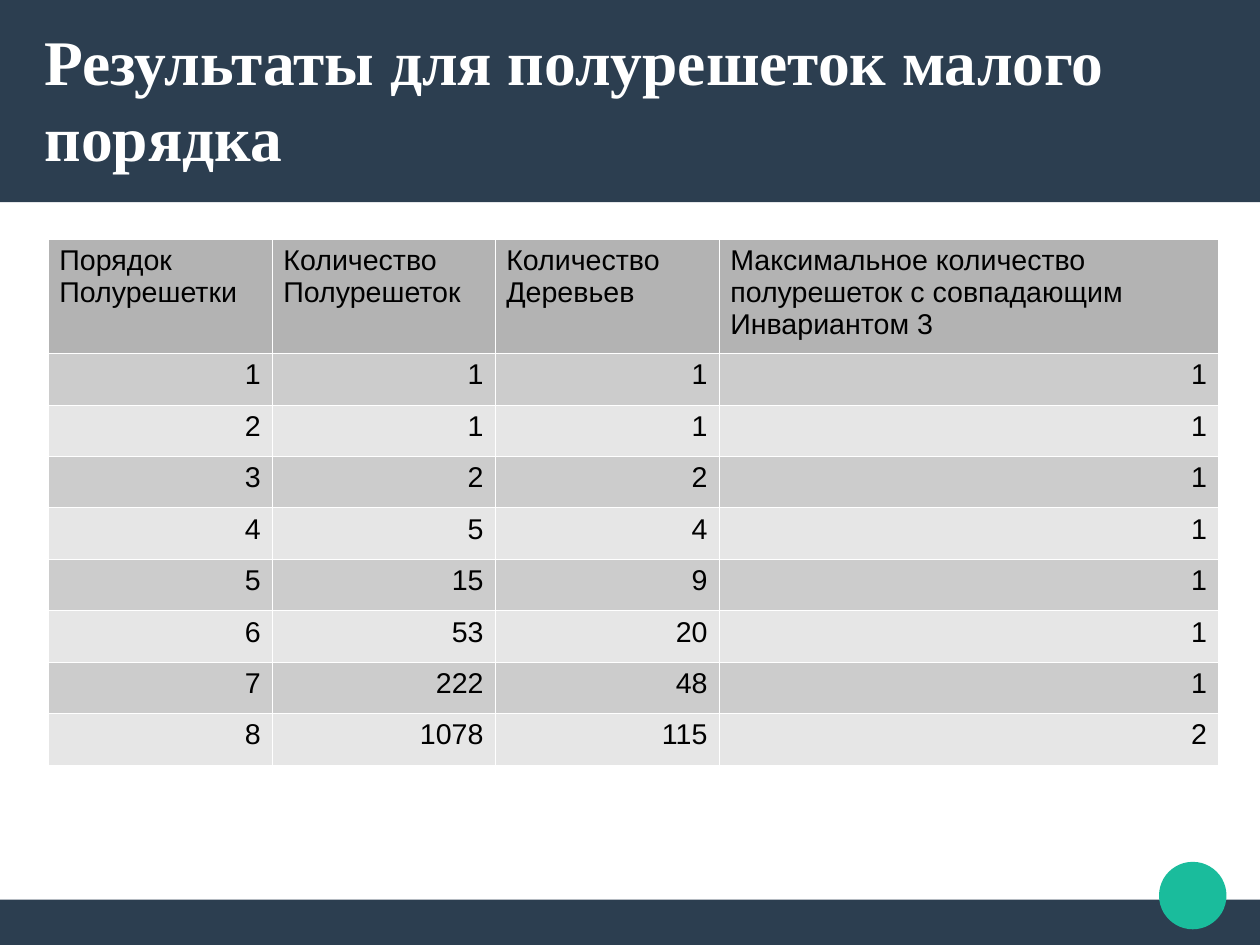
from dataclasses import dataclass

from lxml.etree import SubElement
from pptx import Presentation
from pptx.dml.color import RGBColor
from pptx.enum.shapes import MSO_SHAPE
from pptx.enum.text import MSO_ANCHOR, PP_ALIGN
from pptx.oxml.ns import qn
from pptx.slide import Slide
from pptx.table import _Cell
from pptx.text.text import _Paragraph
from pptx.util import Inches, Pt

NAVY = RGBColor(0x2C, 0x3E, 0x50)
GREEN = RGBColor(0x1A, 0xBC, 0x9C)
WHITE = RGBColor(0xFF, 0xFF, 0xFF)
BLACK = RGBColor(0, 0, 0)
HEAD = RGBColor(0xB3, 0xB3, 0xB3)
BANDS = (RGBColor(0xCC, 0xCC, 0xCC), RGBColor(0xE6, 0xE6, 0xE6))

# The page is 28 by 21 cm
WIDE, HIGH = 28 / 2.54, 21 / 2.54


@dataclass
class Block:
    kind: MSO_SHAPE
    left: float
    top: float
    width: float
    height: float
    color: RGBColor


@dataclass
class Column:
    title: str
    width: float
    values: tuple[int, ...]


BLOCKS = (
    Block(MSO_SHAPE.RECTANGLE, 0, 7.87, WIDE, HIGH - 7.87, NAVY),
    Block(MSO_SHAPE.RECTANGLE, 0, 0, WIDE, 1.77, NAVY),
    Block(MSO_SHAPE.OVAL, 10.14, 7.54, 0.59, 0.59, GREEN),
)
COLUMNS = (
    Column("Порядок\nПолурешетки", 1.96, (1, 2, 3, 4, 5, 6, 7, 8)),
    Column("Количество\nПолурешеток", 1.95, (1, 1, 2, 5, 15, 53, 222, 1078)),
    Column("Количество\nДеревьев", 1.96, (1, 1, 2, 4, 9, 20, 48, 115)),
    Column("Максимальное количество\nполурешеток с совпадающим \nИнвариантом 3",
           4.37, (1, 1, 1, 1, 1, 1, 1, 2)),
)


def write(para: _Paragraph, text: str, face: str, size: int, color: RGBColor) -> None:
    para.text = text
    para.font.name = face
    para.font.size = Pt(size)
    para.font.color.rgb = color


def draw_block(slide: Slide, block: Block) -> None:
    shape = slide.shapes.add_shape(
        block.kind, Inches(block.left), Inches(block.top),
        Inches(block.width), Inches(block.height))
    shape.shadow.inherit = False
    shape.fill.solid()
    shape.fill.fore_color.rgb = block.color
    shape.line.fill.background()


def draw_title(slide: Slide, text: str) -> None:
    box = slide.shapes.add_textbox(Inches(0.39), Inches(0.33), Inches(10.24), Inches(1.05))
    frame = box.text_frame
    frame.word_wrap = True
    frame.vertical_anchor = MSO_ANCHOR.MIDDLE
    frame.margin_left = frame.margin_right = frame.margin_top = frame.margin_bottom = 0
    para = frame.paragraphs[0]
    write(para, text, "Times New Roman", 40, WHITE)
    para.font.bold = True


def fill_cell(cell: _Cell, text: str, color: RGBColor, align: PP_ALIGN) -> None:
    para = cell.text_frame.paragraphs[0]
    write(para, text, "Arial", 18, BLACK)
    para.alignment = align
    # Borders come before the fill in the cell properties
    props = cell._tc.get_or_add_tcPr()
    for side in ("lnL", "lnR", "lnT", "lnB"):
        line = SubElement(props, qn(f"a:{side}"), w=str(Pt(0.06)))
        solid = SubElement(line, qn("a:solidFill"))
        SubElement(solid, qn("a:srgbClr"), val=str(WHITE))
    cell.fill.solid()
    cell.fill.fore_color.rgb = color


def draw_table(slide: Slide, columns: tuple[Column, ...]) -> None:
    count = len(columns[0].values)
    table = slide.shapes.add_table(
        count + 1, len(columns), Inches(0.42), Inches(2.09),
        Inches(10.24), Inches(4.56)).table
    for row in table.rows:
        row.height = Inches(0.45)
    table.rows[0].height = Inches(0.95)
    for col, column in enumerate(columns):
        table.columns[col].width = Inches(column.width)
        fill_cell(table.cell(0, col), column.title, HEAD, PP_ALIGN.LEFT)
        for row, value in enumerate(column.values):
            fill_cell(table.cell(row + 1, col), str(value), BANDS[row % 2], PP_ALIGN.RIGHT)


def main() -> None:
    deck = Presentation()
    deck.slide_width, deck.slide_height = Inches(WIDE), Inches(HIGH)
    slide = deck.slides.add_slide(deck.slide_layouts[6])
    # Bands and accent circle
    for block in BLOCKS:
        draw_block(slide, block)
    # Title and results
    draw_title(slide, "Результаты для полурешеток малого порядка")
    draw_table(slide, COLUMNS)
    deck.save("out.pptx")


if __name__ == "__main__":
    main()
